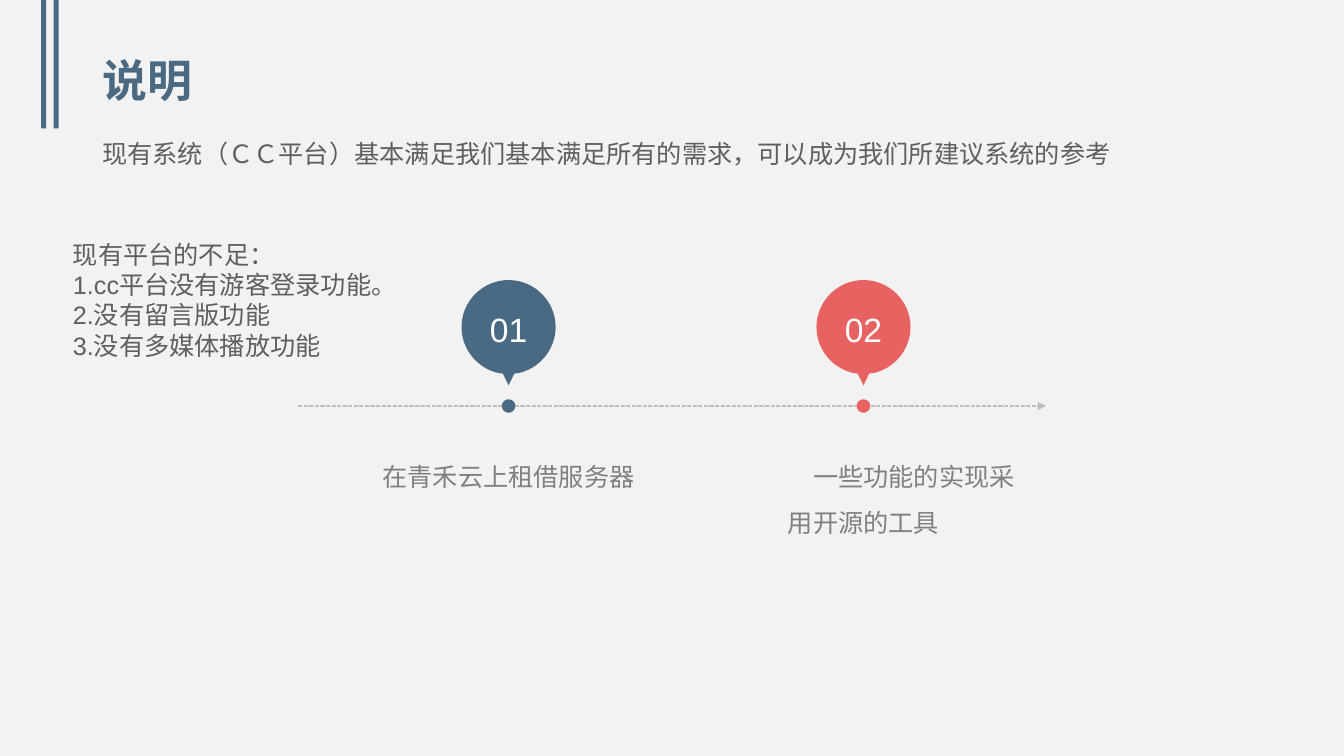
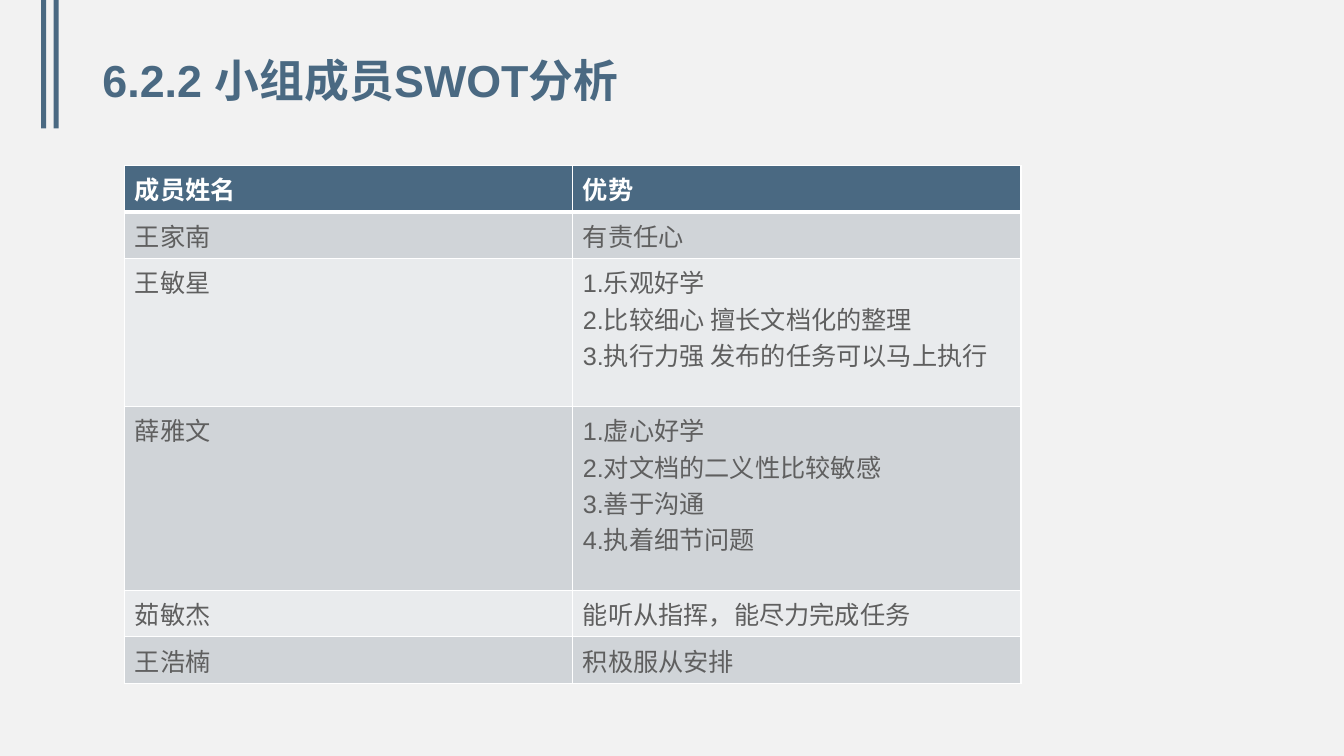
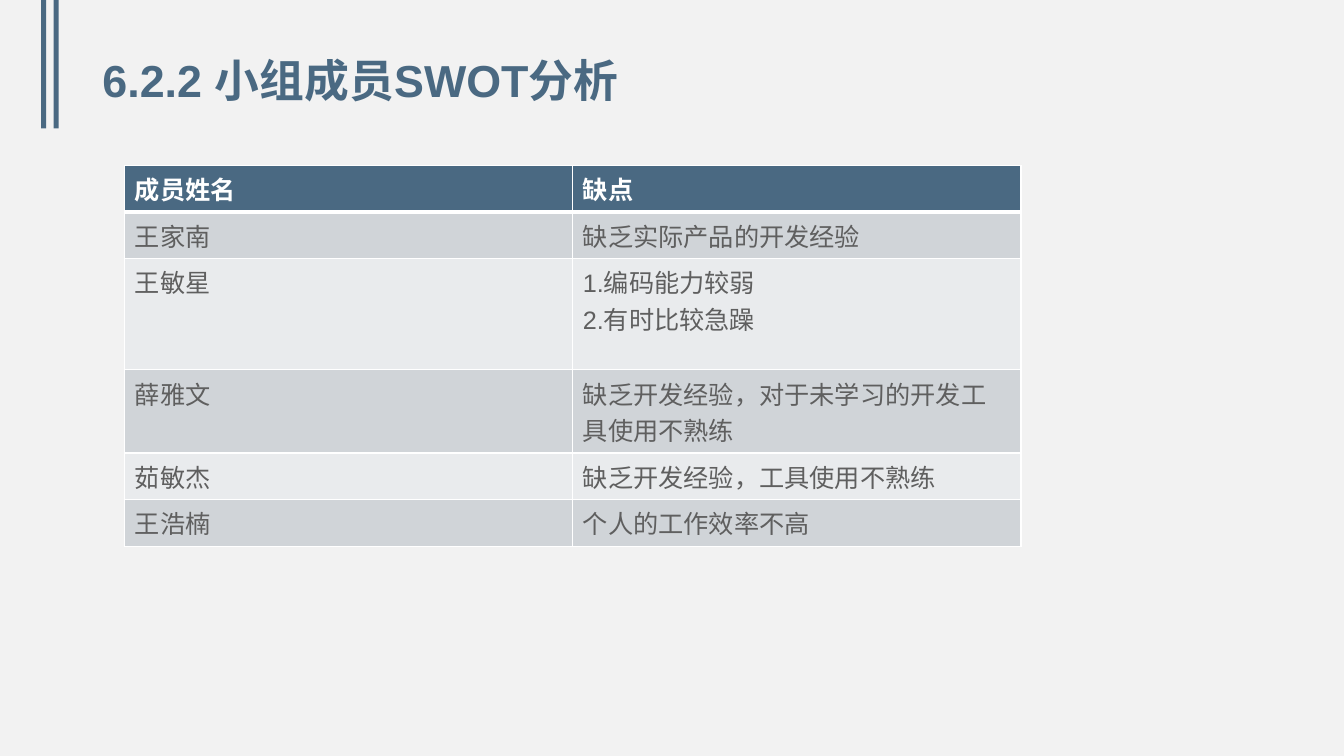
"""Build three slides: a remarks timeline and two team SWOT tables."""
from dataclasses import dataclass

from lxml import etree
from pptx import Presentation
from pptx.dml.color import RGBColor
from pptx.enum.dml import MSO_LINE
from pptx.enum.shapes import MSO_CONNECTOR, MSO_SHAPE
from pptx.enum.text import MSO_ANCHOR, PP_ALIGN
from pptx.oxml.ns import qn
from pptx.presentation import Presentation as Deck
from pptx.shapes.autoshape import Shape
from pptx.slide import Slide, SlideLayout
from pptx.table import _Cell
from pptx.text.text import TextFrame, _Paragraph
from pptx.util import Emu, Inches, Length, Pt

RECTANGLE = MSO_SHAPE.RECTANGLE
STRAIGHT = MSO_CONNECTOR.STRAIGHT
DASHED = MSO_LINE.SQUARE_DOT
CENTER = PP_ALIGN.CENTER
LEFT = PP_ALIGN.LEFT
MIDDLE = MSO_ANCHOR.MIDDLE

NAVY = RGBColor(0x4A, 0x69, 0x82)
CORAL = RGBColor(0xE8, 0x62, 0x62)
WHITE = RGBColor(0xFF, 0xFF, 0xFF)
PAPER = RGBColor(0xF2, 0xF2, 0xF2)
BODY_GRAY = RGBColor(0x5F, 0x5F, 0x5F)
CAPTION_GRAY = RGBColor(0x80, 0x80, 0x80)
AXIS_GRAY = RGBColor(0xBF, 0xBF, 0xBF)
ROW_FILLS = (RGBColor(0xD0, 0xD4, 0xD8), RGBColor(0xE9, 0xEB, 0xED))

FONT = "Arial"
WIDTH, HEIGHT = Inches(13.33), Inches(7.5)
COLUMNS = 32
TITLE_ONLY = 5

BODY_PITCH, CAPTION_PITCH, TABLE_PITCH = Pt(21.6), Pt(33), Pt(26)
AXIS_ROW, DOT_RADIUS = 9.67, 0.16
HEAD_ROW, HEAD_RADIUS = 7.79, 1.12
CAPTION_WIDTH = 7.37
SINGLE_ROW = 1.11

Point = tuple[float, float]
Outline = tuple[tuple[Point, ...], ...]

CIRCLE: Outline = (
    ((0, -1),),
    ((0.55, -1), (1, -0.55), (1, 0)),
    ((1, 0.55), (0.55, 1), (0, 1)),
    ((-0.55, 1), (-1, 0.55), (-1, 0)),
    ((-1, -0.55), (-0.55, -1), (0, -1)),
)
PIN_HEAD: Outline = (
    ((0, -1),),
    ((0.55, -1), (1, -0.55), (1, 0)),
    ((1, 0.48), (0.65, 0.89), (0.2, 0.98)),
    ((0.12, 0.99),),
    ((0, 1.24),),
    ((-0.12, 0.99),),
    ((-0.2, 0.98),),
    ((-0.65, 0.89), (-1, 0.48), (-1, 0)),
    ((-1, -0.55), (-0.55, -1), (0, -1)),
)


@dataclass(frozen=True)
class Box:
    """A rectangle in grid columns and rows."""
    left: float
    top: float
    width: float
    height: float

    def lengths(self) -> tuple[Length, ...]:
        """Return the rectangle as slide lengths."""
        return tuple(map(grid, (self.left, self.top, self.width, self.height)))


@dataclass(frozen=True)
class Pin:
    """A numbered timeline pin with its caption."""
    number: str
    column: float
    color: RGBColor
    caption: str
    indent: Length


@dataclass(frozen=True)
class Member:
    """A table row: name, remark lines and height in grid rows."""
    name: str
    remarks: tuple[str, ...]
    height: float = SINGLE_ROW


@dataclass(frozen=True)
class Style:
    """Run and line formatting of a text."""
    size: int
    color: RGBColor
    bold: bool = False
    align: PP_ALIGN = LEFT
    spacing: Length | float | None = None


TITLE = Style(32, NAVY, bold=True, spacing=0.9)
BODY = Style(18, BODY_GRAY, spacing=BODY_PITCH)
CAPTION = Style(18, CAPTION_GRAY, align=CENTER, spacing=CAPTION_PITCH)
NUMBER = Style(24, WHITE, align=CENTER)
HEADER_CELL = Style(18, WHITE, bold=True, spacing=TABLE_PITCH)
BODY_CELL = Style(18, BODY_GRAY, spacing=TABLE_PITCH)

BANDS = (Box(0.98, 0, 0.12, 3.06), Box(1.28, 0, 0.12, 3.06))
TITLE_BOX = Box(2.2, 1.03, 27.6, 1.9)
SUMMARY_BOX = Box(2.2, 3.17, 25.13, 0.96)
SHORTCOMINGS_BOX = Box(1.5, 5.58, 8.59, 3.89)
TABLE_LEFT, TABLE_TOP, TABLE_COLUMN = 2.97, 3.94, 10.67

SUMMARY = ("现有系统（ＣＣ平台）基本满足我们基本满足所有的需求，可以成为我们所建议系统的参考",)
SHORTCOMINGS = (
    "现有平台的不足：",
    "1.cc平台没有游客登录功能。",
    "2.没有留言版功能",
    "3.没有多媒体播放功能",
)
PINS = (
    Pin("01", 12.11, NAVY, "在青禾云上租借服务器", Inches(0)),
    Pin("02", 20.56, CORAL, "一些功能的实现采用开源的工具", Inches(1)),
)
SWOT_TITLE = "6.2.2 小组成员SWOT分析"
STRENGTHS = (
    Member("王家南", ("有责任心",)),
    Member("王敏星", ("1.乐观好学", "2.比较细心 擅长文档化的整理", "3.执行力强 发布的任务可以马上执行"), 3.52),
    Member("薛雅文", ("1.虚心好学", "2.对文档的二义性比较敏感", "3.善于沟通", "4.执着细节问题"), 4.38),
    Member("茹敏杰", ("能听从指挥，能尽力完成任务",)),
    Member("王浩楠", ("积极服从安排",)),
)
WEAKNESSES = (
    Member("王家南", ("缺乏实际产品的开发经验",)),
    Member("王敏星", ("1.编码能力较弱", "2.有时比较急躁"), 2.65),
    Member("薛雅文", ("缺乏开发经验，对于未学习的开发工具使用不熟练",), 1.98),
    Member("茹敏杰", ("缺乏开发经验，工具使用不熟练",)),
    Member("王浩楠", ("个人的工作效率不高",)),
)


def grid(cells: float) -> Length:
    """Convert grid cells to a slide length."""
    return Emu(round(cells * WIDTH / COLUMNS))


def write_paragraph(paragraph: _Paragraph, text: str, style: Style) -> None:
    """Write one formatted run into a paragraph."""
    paragraph.alignment = style.align
    if style.spacing is not None:
        paragraph.line_spacing = style.spacing
    run = paragraph.add_run()
    run.text = text
    run.font.name = FONT
    run.font.size = Pt(style.size)
    run.font.bold = style.bold
    run.font.color.rgb = style.color


def write_lines(frame: TextFrame, lines: tuple[str, ...], style: Style) -> None:
    """Write each line as its own paragraph."""
    for index, line in enumerate(lines):
        paragraph = frame.add_paragraph() if index else frame.paragraphs[0]
        write_paragraph(paragraph, line, style)


def clear_margins(frame: TextFrame) -> None:
    """Remove the inner margins of a text frame."""
    frame.margin_left = frame.margin_top = frame.margin_right = frame.margin_bottom = 0


def fill_shape(shape: Shape, color: RGBColor) -> None:
    """Give a shape a plain fill without line or shadow."""
    shape.shadow.inherit = False
    shape.fill.solid()
    shape.fill.fore_color.rgb = color
    shape.line.fill.background()


def add_text(slide: Slide, box: Box, lines: tuple[str, ...], style: Style) -> TextFrame:
    """Add a wrapping text box."""
    frame = slide.shapes.add_textbox(*box.lengths()).text_frame
    frame.word_wrap = True
    write_lines(frame, lines, style)
    return frame


def add_titled_slide(presentation: Deck, title: str) -> Slide:
    """Add a title-only slide with its formatted title."""
    slide = presentation.slides.add_slide(presentation.slide_layouts[TITLE_ONLY])
    shape = slide.shapes.title
    shape.left, shape.top, shape.width, shape.height = TITLE_BOX.lengths()
    shape.text_frame.vertical_anchor = MIDDLE
    write_lines(shape.text_frame, (title,), TITLE)
    return slide


def move_bands_to_layout(slide: Slide, layout: SlideLayout) -> None:
    """Draw the corner bands and place them on the shared layout."""
    for band in BANDS:
        shape = slide.shapes.add_shape(RECTANGLE, *band.lengths())
        fill_shape(shape, NAVY)
        layout.shapes._spTree.append(shape._element)


def place(outline: Outline, column: float, row: float, radius: float) -> list[tuple[int, int]]:
    """Scale an outline round its centre and list its points."""
    return [
        (grid(column + radius * x), grid(row + radius * y))
        for segment in outline
        for x, y in segment
    ]


def bend_curves(shape: Shape, segments: Outline) -> None:
    """Turn each three-point segment of a freeform into one curve."""
    lines = iter(list(shape._element.iter(qn("a:lnTo"))))
    for segment in segments:
        parts = [next(lines) for _ in segment]
        if len(parts) == 3:
            curve = etree.Element(qn("a:cubicBezTo"))
            parts[0].addprevious(curve)
            for part in parts:
                curve.append(part[0])
                part.getparent().remove(part)


def add_pin(slide: Slide, pin: Pin) -> None:
    """Add a pin with its axis dot and caption."""
    dot = place(CIRCLE, pin.column, AXIS_ROW, DOT_RADIUS)
    head = place(PIN_HEAD, pin.column, HEAD_ROW, HEAD_RADIUS)
    builder = slide.shapes.build_freeform(*dot[0])
    builder.add_line_segments(dot[1:], close=True)
    builder.move_to(*head[0])
    builder.add_line_segments(head[1:], close=True)
    shape = builder.convert_to_shape()
    bend_curves(shape, CIRCLE[1:] + PIN_HEAD[1:])
    fill_shape(shape, pin.color)
    frame = shape.text_frame
    clear_margins(frame)
    frame.margin_bottom = Inches(0.35)
    frame.vertical_anchor = MIDDLE
    write_lines(frame, (pin.number,), NUMBER)

    caption_box = Box(pin.column - CAPTION_WIDTH / 2, 10.61, CAPTION_WIDTH, 4.42)
    caption = add_text(slide, caption_box, (pin.caption,), CAPTION)
    clear_margins(caption)
    if pin.indent:
        caption.paragraphs[0]._p.get_or_add_pPr().set("indent", str(pin.indent))


def add_axis(slide: Slide) -> None:
    """Add the dashed timeline arrow."""
    row = grid(AXIS_ROW)
    axis = slide.shapes.add_connector(STRAIGHT, grid(7.1), row, grid(24.91), row)
    axis.line.color.rgb = AXIS_GRAY
    axis.line.width = Pt(1)
    axis.line.dash_style = DASHED
    etree.SubElement(axis.line._get_or_add_ln(), qn("a:tailEnd"), type="triangle")
    etree.SubElement(axis._element.spPr, qn("a:effectLst"))


def format_cell(cell: _Cell, lines: tuple[str, ...], row: int) -> None:
    """Write, border and fill a table cell."""
    properties = cell._tc.get_or_add_tcPr()
    thick = {0: "lnB", 1: "lnT"}.get(row)
    for side in ("lnL", "lnR", "lnT", "lnB"):
        width = Pt(3) if side == thick else Pt(1)
        border = etree.SubElement(properties, qn(f"a:{side}"), w=str(width))
        fill = etree.SubElement(border, qn("a:solidFill"))
        etree.SubElement(fill, qn("a:srgbClr"), val=str(WHITE))
    cell.fill.solid()
    cell.fill.fore_color.rgb = ROW_FILLS[(row - 1) % 2] if row else NAVY
    write_lines(cell.text_frame, lines, BODY_CELL if row else HEADER_CELL)


def add_member_table(slide: Slide, heading: str, members: tuple[Member, ...]) -> None:
    """Add the table of members and remarks."""
    rows = (Member("成员姓名", (heading,)), *members)
    box = Box(TABLE_LEFT, TABLE_TOP, 2 * TABLE_COLUMN, sum(row.height for row in rows))
    table = slide.shapes.add_table(len(rows), 2, *box.lengths()).table
    for index, row in enumerate(rows):
        table.rows[index].height = grid(row.height)
        format_cell(table.cell(index, 0), (row.name,), index)
        format_cell(table.cell(index, 1), row.remarks, index)


def main() -> None:
    """Build and save the presentation."""
    presentation = Presentation()
    presentation.slide_width, presentation.slide_height = WIDTH, HEIGHT
    background = presentation.slide_master.background.fill
    background.solid()
    background.fore_color.rgb = PAPER

    remarks = add_titled_slide(presentation, "说明")
    move_bands_to_layout(remarks, presentation.slide_layouts[TITLE_ONLY])
    add_axis(remarks)
    for pin in PINS:
        add_pin(remarks, pin)
    add_text(remarks, SUMMARY_BOX, SUMMARY, BODY)
    add_text(remarks, SHORTCOMINGS_BOX, SHORTCOMINGS, BODY)

    for heading, members in (("优势", STRENGTHS), ("缺点", WEAKNESSES)):
        add_member_table(add_titled_slide(presentation, SWOT_TITLE), heading, members)

    presentation.save("out.pptx")


if __name__ == "__main__":
    main()
